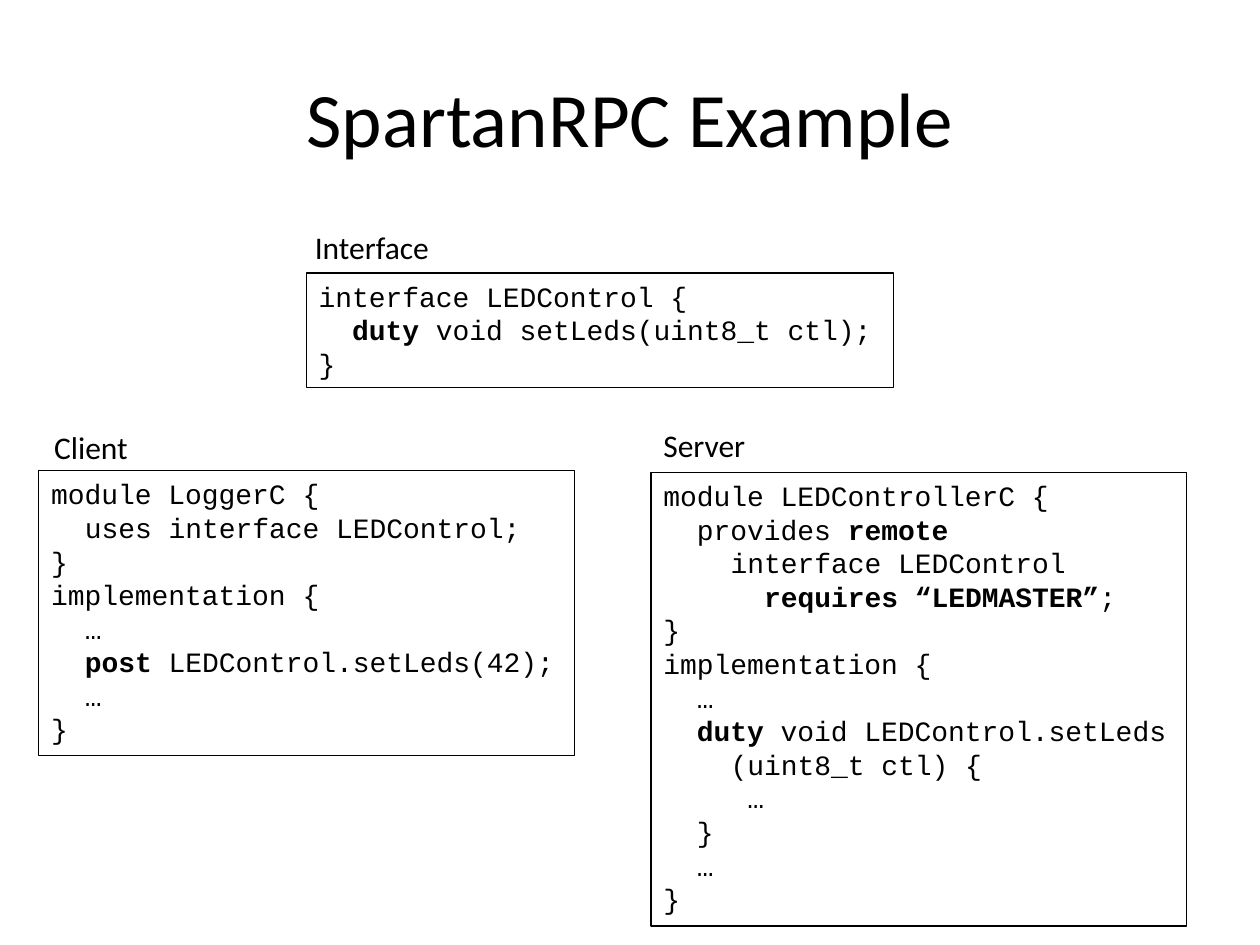
from dataclasses import dataclass

from pptx import Presentation
from pptx.dml.color import RGBColor
from pptx.enum.shapes import MSO_SHAPE
from pptx.enum.text import MSO_ANCHOR, MSO_AUTO_SIZE, PP_ALIGN
from pptx.util import Pt

RECTANGLE = MSO_SHAPE.RECTANGLE
TOP, MIDDLE = MSO_ANCHOR.TOP, MSO_ANCHOR.MIDDLE
LEFT, CENTER = PP_ALIGN.LEFT, PP_ALIGN.CENTER
GROW = MSO_AUTO_SIZE.SHAPE_TO_FIT_TEXT
TITLE_ONLY = 5

INTERFACE_CODE = """interface LEDControl {
  **duty** void setLeds(uint8_t ctl);
}"""

CLIENT_CODE = """module LoggerC {
  uses interface LEDControl;
}
implementation {
  …
  **post **LEDControl.setLeds(42);
  …
}"""

SERVER_CODE = """module LEDControllerC {
  provides **remote**
    interface LEDControl
      **requires “LEDMASTER”**;
}
implementation {
  …
  **duty** void LEDControl.setLeds
    (uint8_t ctl) {
     …
  }
  …
}"""


@dataclass(frozen=True)
class Theme:
    """Colours, fonts and sizes of the slide."""
    ink: RGBColor = RGBColor(0, 0, 0)
    paper: RGBColor = RGBColor(255, 255, 255)
    text_font: str = "Calibri"
    code_font: str = "Courier New"
    title_size: float = 44
    label_size: float = 18
    code_size: float = 16
    line_width: float = 0.75
    code_advance: float = 0.6  # character width as a share of the type size


def apply_format(target, values):
    """Set each named attribute on the target."""
    for name, value in values.items():
        setattr(target, name, value)


class SlideBuilder:
    """Draws styled elements on the current slide."""

    def __init__(self, slide, theme):
        """Keep the slide and its theme."""
        self.slide = slide
        self.theme = theme

    def add_text(self, paragraph, text, font, size):
        """Add text to a paragraph; double asterisks enclose bold words."""
        for index, part in enumerate(text.split("**")):
            if part:
                run = paragraph.add_run()
                run.text = part
                apply_format(run.font, {"name": font, "size": Pt(size),
                                        "bold": index % 2 == 1})
                run.font.color.rgb = self.theme.ink

    def title(self, text, left, top, width, height):
        """Place and fill the title placeholder."""
        shape = self.slide.shapes.title
        apply_format(shape, {"left": Pt(left), "top": Pt(top),
                             "width": Pt(width), "height": Pt(height)})
        shape.text_frame.vertical_anchor = MIDDLE
        paragraph = shape.text_frame.paragraphs[0]
        paragraph.alignment = CENTER
        self.add_text(paragraph, text, self.theme.text_font, self.theme.title_size)

    def label(self, text, left, top, width, height):
        """Add a one-line caption."""
        shape = self.slide.shapes.add_textbox(Pt(left), Pt(top), Pt(width), Pt(height))
        apply_format(shape.text_frame, {"word_wrap": False, "auto_size": GROW})
        self.add_text(shape.text_frame.paragraphs[0], text,
                      self.theme.text_font, self.theme.label_size)

    def code(self, source, left, top, width, height):
        """Add an outlined listing, turning leading spaces into indents."""
        theme = self.theme
        shape = self.slide.shapes.add_shape(
            RECTANGLE, Pt(left), Pt(top), Pt(width), Pt(height))
        shape.shadow.inherit = False
        shape.fill.background()
        shape.line.color.rgb = theme.ink
        shape.line.width = Pt(theme.line_width)
        frame = shape.text_frame
        apply_format(frame, {"word_wrap": False, "auto_size": GROW,
                             "vertical_anchor": TOP})
        for index, line in enumerate(source.split("\n")):
            paragraph = frame.add_paragraph() if index else frame.paragraphs[0]
            paragraph.alignment = LEFT
            text = line.lstrip()
            indent = (len(line) - len(text)) * theme.code_size * theme.code_advance
            properties = paragraph._p.get_or_add_pPr()
            properties.set("marL", str(int(Pt(indent))))
            properties.set("indent", "0")
            self.add_text(paragraph, text, theme.code_font, theme.code_size)


def main():
    """Build and save the presentation."""
    presentation = Presentation()
    apply_format(presentation, {"slide_width": Pt(720), "slide_height": Pt(540)})
    slide = presentation.slides.add_slide(presentation.slide_layouts[TITLE_ONLY])
    theme = Theme()
    slide.background.fill.solid()
    slide.background.fill.fore_color.rgb = theme.paper
    builder = SlideBuilder(slide, theme)
    builder.title("SpartanRPC Example", 36, 21.6, 648, 90)

    panels = [
        ("Client", (23.8, 241.2, 56.9, 29), CLIENT_CODE, (22.2, 269, 306, 162.7)),
        ("Server", (372, 239.8, 61.9, 29), SERVER_CODE, (372, 270, 306, 259.2)),
        ("Interface", (172.8, 126.7, 80.6, 29), INTERFACE_CODE, (175, 156, 335.5, 65.5)),
    ]
    for name, label_box, source, code_box in panels:
        builder.code(source, *code_box)
        builder.label(name, *label_box)
    presentation.save("out.pptx")


main()
